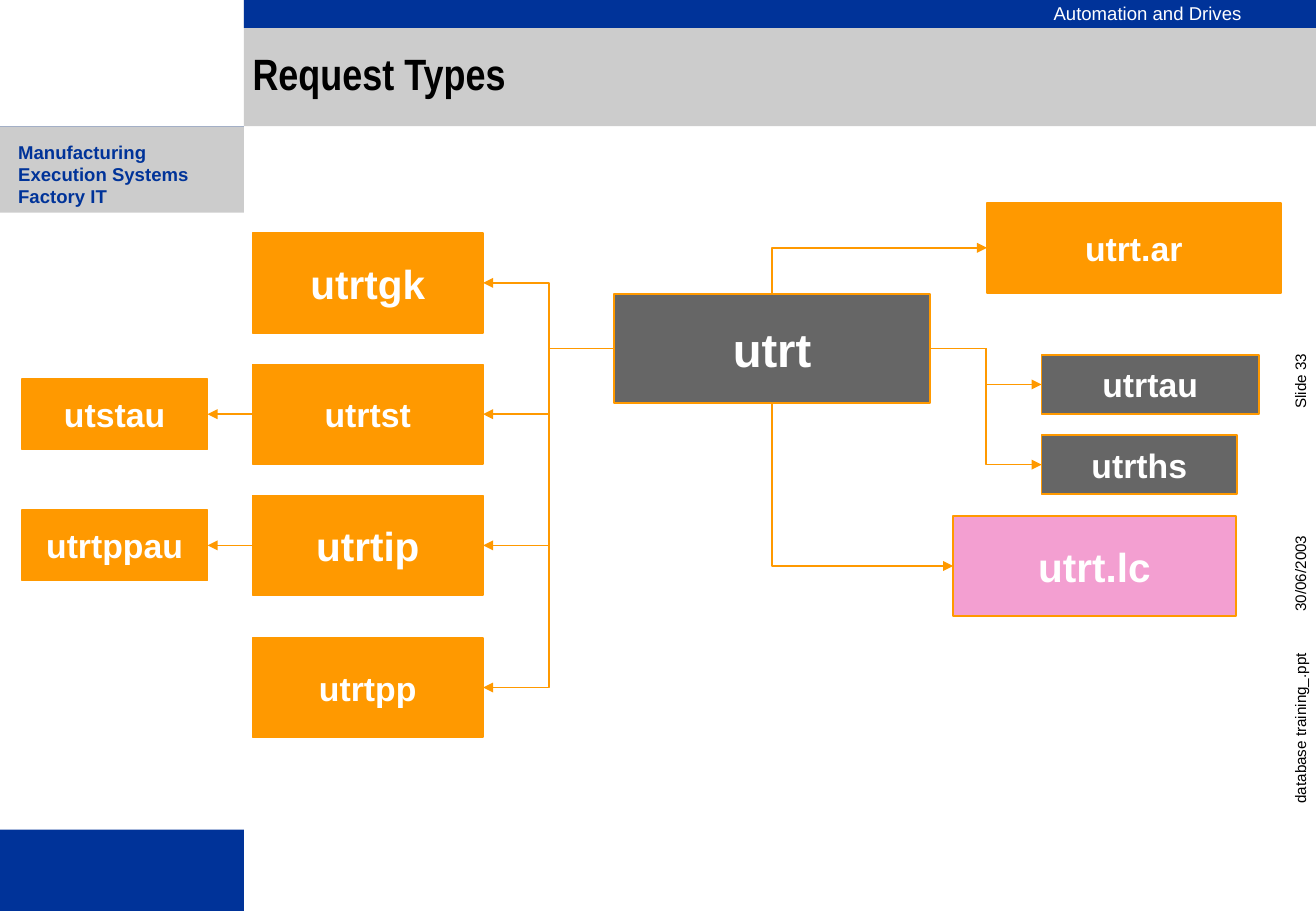
from pptx import Presentation
from pptx import util as u
from pptx.dml.color import RGBColor
from pptx.enum import shapes, text
from pptx.oxml import parse_xml
from pptx.oxml.ns import nsdecls, qn

BLUE = RGBColor(0x00, 0x33, 0x99)
GREY = RGBColor(0xCC, 0xCC, 0xCC)
DARK = RGBColor(0x66, 0x66, 0x66)
ORANGE = RGBColor(0xFF, 0x99, 0x00)
PINK = RGBColor(0xF3, 0x9F, 0xD1)
WHITE = RGBColor(0xFF, 0xFF, 0xFF)
BLACK = RGBColor(0x00, 0x00, 0x00)
TOP, LEFT, BOTTOM, RIGHT = range(4)


def add_rect(s, box, fill, line=None):
    sp = s.shapes.add_shape(shapes.MSO_SHAPE.RECTANGLE, *map(u.Inches, box))
    sp.shadow.inherit = False
    sp.fill.solid()
    sp.fill.fore_color.rgb = fill
    if line is None:
        sp.line.fill.background()
    else:
        sp.line.color.rgb = line
        sp.line.width = u.Pt(1)
    return sp


def add_run(p, words, size, color, bold=False, font="Arial"):
    r = p.add_run()
    r.text = words
    r.font.name = font
    r.font.size = u.Pt(size)
    r.font.bold = bold
    r.font.color.rgb = color


def set_insets(tf, left, top, right, bottom):
    tf.margin_left, tf.margin_top = u.Inches(left), u.Inches(top)
    tf.margin_right, tf.margin_bottom = u.Inches(right), u.Inches(bottom)


def add_label(s, box, lines, size, color, bold=False, insets=(0.05,) * 4, wrap=True):
    sp = s.shapes.add_textbox(*map(u.Inches, box))
    tf = sp.text_frame
    tf.word_wrap = wrap
    set_insets(tf, *insets)
    p = tf.paragraphs[0]
    for i, line in enumerate(lines):
        if i:
            p.add_line_break()
        add_run(p, line, size, color, bold)
    return sp


def add_header(s, box):
    x, y, w, h = box
    add_rect(s, box, GREY)
    add_rect(s, (x, y, w, 0.23), BLUE)
    division = add_label(s, (x + 6.57, y - 0.01, 1.75, 0.27), ["Automation and Drives"],
                         11, WHITE, insets=(0.1, 0.05, 0.1, 0.05), wrap=False)
    division.text_frame.paragraphs[0].line_spacing = 0.9
    title = s.shapes.title
    title.left, title.top = u.Inches(x + 0.07), u.Inches(y)
    title.width, title.height = u.Inches(w - 0.07), u.Inches(1.25)
    s.shapes._spTree.append(title._element)
    tf = title.text_frame
    tf.vertical_anchor = text.MSO_ANCHOR.MIDDLE
    set_insets(tf, 0, 0, 0.1, 0)
    p = tf.paragraphs[0]
    p.alignment = text.PP_ALIGN.LEFT
    p.line_spacing = 0.9
    add_run(p, "Request Types", 26, BLACK, True, "Arial Narrow")


def add_sidebar(s, box):
    x, y, w, h = box
    add_rect(s, box, BLUE)
    add_rect(s, (x, y, w, 0.73), GREY)
    add_label(s, (x + 0.11, y + 0.12, 1.87, 0.55),
              ["Manufacturing Execution Systems", "Factory IT"],
              11, BLUE, True, (0.04, 0, 0.04, 0))
    add_rect(s, (x, y + 0.71, w + 0.25, 5.08), WHITE)


def add_margin_notes(s, box):
    x, y, w, h = box
    notes = [("Slide 33", 0), ("30/06/2003", 1.67), ("database training_.ppt", 3.25)]
    for words, dy in notes:
        add_label(s, (x, y + dy, w, h), [words], 9, BLACK).rotation = 270


def add_node(s, box, name, size, fill):
    sp = add_rect(s, box, fill, ORANGE)
    tf = sp.text_frame
    tf.word_wrap = False
    tf.vertical_anchor = text.MSO_ANCHOR.MIDDLE
    p = tf.paragraphs[0]
    p.alignment = text.PP_ALIGN.CENTER
    add_run(p, name, size, WHITE, True)
    return sp


def add_arrow(s, source, source_side, target, target_side, kind=shapes.MSO_CONNECTOR.ELBOW):
    c = s.shapes.add_connector(kind, 0, 0, 0, 0)
    c.begin_connect(source, source_side)
    c.end_connect(target, target_side)
    c.line.color.rgb = ORANGE
    c.line.width = u.Pt(1)
    c.line._get_or_add_ln().append(parse_xml(f'<a:tailEnd {nsdecls("a")} type="triangle"/>'))
    c._element.spPr.append(parse_xml(f'<a:effectLst {nsdecls("a")}/>'))
    return c


def add_corner_arrow(s, source, source_side, target):
    c = add_arrow(s, source, source_side, target, LEFT)
    mid_x, mid_y = c.left + c.width // 2, c.top + c.height // 2
    c.width, c.height = c.height, c.width
    c.left, c.top = mid_x - c.width // 2, mid_y - c.height // 2
    xfrm = c._element.spPr.find(qn("a:xfrm"))
    xfrm.set("rot", "16200000")
    xfrm.set("flipH", "1" if source_side == BOTTOM else "0")
    xfrm.set("flipV", "0")
    c._element.spPr.find(qn("a:prstGeom")).set("prst", "bentConnector2")


def add_diagram(s, box):
    x, y, w, h = box
    utrt = add_node(s, (x + 4.88, y + 0.75, 2.6, 0.9), "utrt", 28, DARK)

    for name, dy, width in [("utrtau", 1.25, 1.79), ("utrths", 1.91, 1.61)]:
        node = add_node(s, (x + 8.4, y + dy, width, 0.49), name, 20, DARK)
        add_arrow(s, utrt, RIGHT, node, LEFT)

    life_cycle = add_node(s, (x + 7.67, y + 2.58, 2.33, 0.82), "utrt.lc", 24, PINK)
    access = add_node(s, (x + 7.95, y, 2.42, 0.74), "utrt.ar", 20, ORANGE)
    add_corner_arrow(s, utrt, TOP, access)
    add_corner_arrow(s, utrt, BOTTOM, life_cycle)

    children = [("utrtgk", 0.25, 24, None), ("utrtst", 1.33, 20, "utstau"),
                ("utrtip", 2.41, 24, "utrtppau"), ("utrtpp", 3.58, 20, None)]
    for name, dy, size, audit in children:
        node = add_node(s, (x + 1.9, y + dy, 1.9, 0.82), name, size, ORANGE)
        add_arrow(s, utrt, LEFT, node, RIGHT)
        if audit:
            leaf = add_node(s, (x, y + dy + 0.12, 1.53, 0.58), audit, 20, ORANGE)
            add_arrow(s, node, LEFT, leaf, RIGHT, shapes.MSO_CONNECTOR.STRAIGHT)


def main():
    prs = Presentation()
    prs.slide_width, prs.slide_height = u.Inches(10.84), u.Inches(7.5)
    s = prs.slides.add_slide(prs.slide_layouts[5])
    add_sidebar(s, (0, 1.04, 2.01, 6.46))
    add_header(s, (2.01, 0, 8.83, 1.04))
    add_margin_notes(s, (9.87, 2.45, 1.68, 0.25))
    add_diagram(s, (0.18, 1.67, 10.37, 4.4))
    prs.save("out.pptx")


if __name__ == "__main__":
    main()
